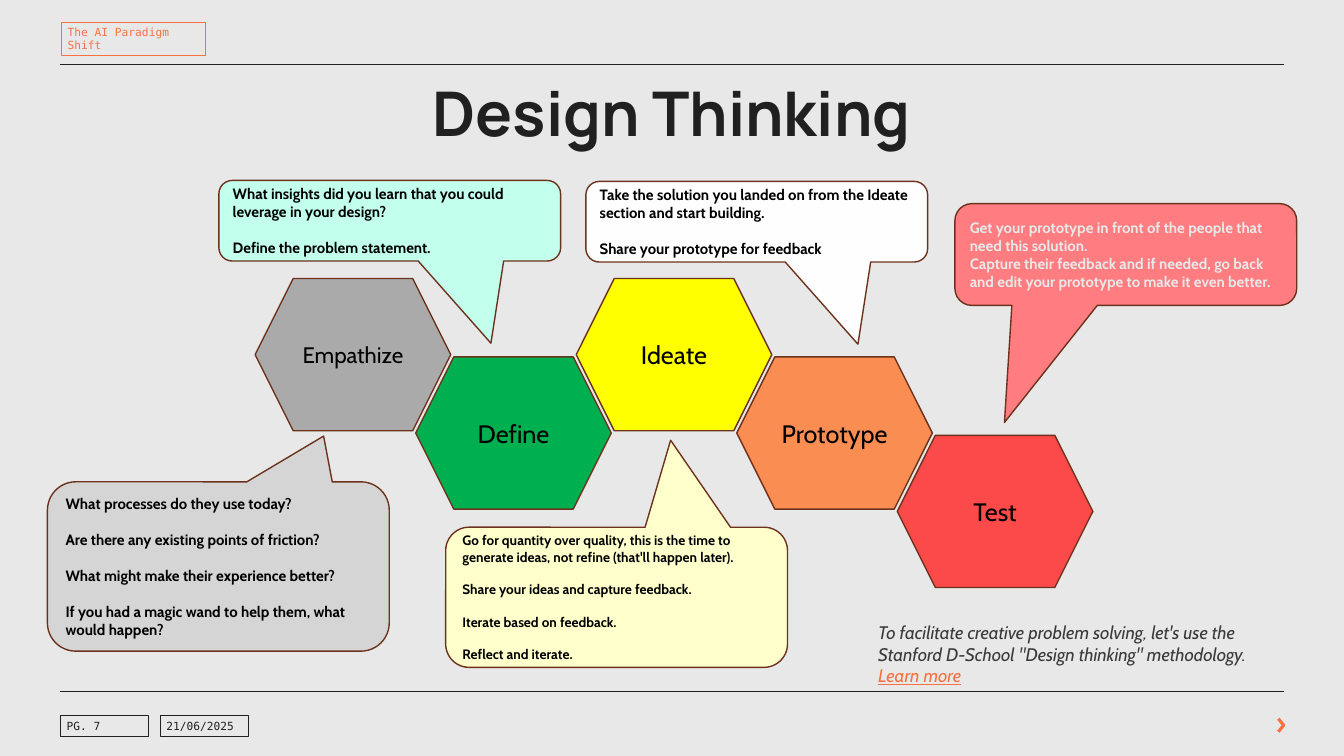
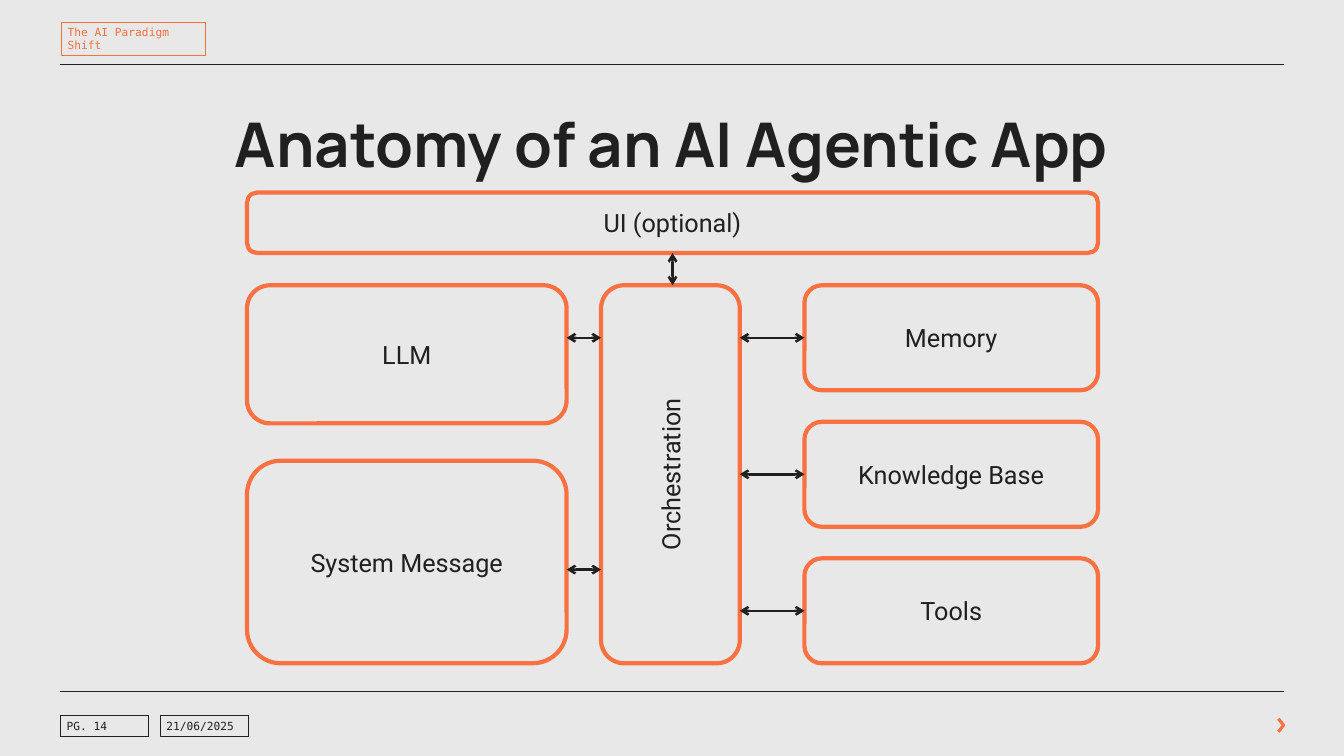
from lxml.etree import SubElement as Sub
from pptx import Presentation
from pptx.dml.color import RGBColor as Rgb
from pptx.enum.shapes import MSO_CONNECTOR as Conn, MSO_SHAPE as Kind
from pptx.enum.text import MSO_ANCHOR as Anchor, PP_ALIGN as Align
from pptx.oxml.ns import qn
from pptx.util import Inches, Pt

HUES = {
    "back": "E8E8E8", "ink": "202020", "accent": "F97141", "note": "3A3A3A",
    "black": "000000", "edge": "6D321C", "gray": "AAAAAA", "green": "00B050",
    "yellow": "FFFF00", "orange": "FA8D52", "red": "FC4949", "silver": "D5D5D5",
    "mint": "C2FFED", "cream": "FFFFCC", "white": "FEFEFE", "rose": "FF7C80",
}
PAGE = (0, 0, Inches(13.33), Inches(7.5))
DATE = "21/06/2025"
DECK = "The AI Paradigm Shift"

STEPS = [
    ("Empathize", 16, "gray", 0), ("Define", 18, "green", 1),
    ("Ideate", 18, "yellow", 0), ("Prototype", 18, "orange", 1),
    ("Test", 18, "red", 2),
]
HINTS = [
    ((0, 61.9, 34.78), (0.308, -0.77), "silver", "black", 10.7, 12.8, [
        "What processes do they use today?",
        "Are there any existing points of friction?",
        "What might make their experience better?",
        "If you had a magic wand to help them, what would happen?"]),
    ((13.72, 0, 16.56), (0.296, 1.519), "mint", "black", 10.7, 12.8, [
        "What insights did you learn that you could leverage in your design?",
        "Define the problem statement."]),
    ((31.88, 71.22, 28.78), (0.158, -1.121), "cream", "black", 9.7, 11.6, [
        "Go for quantity over quality, this is the time to generate ideas, "
        "not refine (that'll happen later).",
        "Share your ideas and capture feedback.",
        "Iterate based on feedback.",
        "Reflect and iterate."]),
    ((43.1, 0.2, 16.56), (0.296, 1.519), "white", "black", 10.7, 12.8, [
        "Take the solution you landed on from the Ideate section and start "
        "building.",
        "Share your prototype for feedback"]),
    ((72.64, 4.76, 20.91), (-0.355, 1.65), "rose", "back", 10.7, 0, [
        "Get your prototype in front of the people that need this solution.",
        "Capture their feedback and if needed, go back and edit your "
        "prototype to make it even better."]),
]


def hue(name):
    """Return the named colour."""
    return Rgb.from_string(HUES[name])


def part(box, left, top, wide=0, high=0):
    """Return a box inside another, given in percent of it."""
    x, y, w, h = box
    return (round(x + w * left / 100), round(y + h * top / 100),
            round(w * wide / 100), round(h * high / 100))


def write(shape, lines, font, size, color, bold=False, align=Align.LEFT,
          anchor=Anchor.MIDDLE, pads=None, gap=0):
    """Fill a shape with styled paragraphs."""
    frame = shape.text_frame
    frame.word_wrap = True
    frame.vertical_anchor = anchor
    if pads:
        (frame.margin_left, frame.margin_top,
         frame.margin_right, frame.margin_bottom) = map(Inches, pads)
    frame.text = "\n".join(lines)
    for i, para in enumerate(frame.paragraphs):
        para.alignment = align
        if i and gap:
            para.space_before = Pt(gap)
        for run in para.runs:
            run.font.name, run.font.size, run.font.bold = font, Pt(size), bold
            run.font.color.rgb = hue(color)
    return frame


def draw(slide, kind, box, edge, width, fill=None):
    """Add an outlined shape without shadow."""
    shape = slide.shapes.add_shape(kind, *box)
    shape.shadow.inherit = False
    if fill:
        shape.fill.solid()
        shape.fill.fore_color.rgb = hue(fill)
    else:
        shape.fill.background()
    shape.line.color.rgb = hue(edge)
    shape.line.width = Pt(width)
    return shape


def link(slide, start, end, width, heads=False):
    """Add a straight line, with arrowheads at both ends if asked."""
    line = slide.shapes.add_connector(Conn.STRAIGHT, *start[:2], *end[:2])
    line.line.color.rgb = hue("ink")
    line.line.width = Pt(width)
    if heads:
        ln = line.line._get_or_add_ln()
        for tag in ("a:headEnd", "a:tailEnd"):
            Sub(ln, qn(tag)).set("type", "arrow")
    Sub(line._element.spPr, qn("a:effectLst"))
    return line


def frame(slide, box, page):
    """Draw the rules, tags and chevron that every slide carries."""
    for y in (8.53, 91.47):
        link(slide, part(box, 4.5, y), part(box, 95.5, y), 0.5)
    tags = [
        ((4.5, 94.67, 6.53, 2.7), f"PG. {page}", "ink"),
        ((11.93, 94.67, 6.53, 2.7), DATE, "ink"),
        ((4.58, 2.93, 10.73, 4.4), DECK, "accent"),
    ]
    for spot, text, color in tags:
        tag = draw(slide, Kind.RECTANGLE, part(box, *spot), color, 0.5)
        write(tag, [text], "DejaVu Sans Mono", 8, color, pads=(0.06, 0, 0, 0))
    first, *rest = [part(box, x, y)[:2]
                    for x, y in ((95.12, 95.07), (95.5, 95.93), (95.12, 96.8))]
    pen = slide.shapes.build_freeform(*first)
    pen.add_line_segments(rest, close=False)
    mark = pen.convert_to_shape()
    mark.shadow.inherit = False
    mark.fill.background()
    mark.line.color.rgb = hue("accent")
    mark.line.width = Pt(2.25)


def title(slide, box, text):
    """Write the slide title at the foot of its box."""
    area = slide.shapes.add_textbox(*box)
    text = write(area, [text], "Manrope", 44, "ink", True, Align.CENTER,
                 Anchor.BOTTOM, (0, 0, 0, 0))
    text.paragraphs[0].line_spacing = 0.9


def note(slide, box):
    """Write the closing remark with its call to read on."""
    lines = ["To facilitate creative problem solving, let's use the Stanford "
             "D-School \"Design thinking\" methodology.", "Learn more"]
    text = write(slide.shapes.add_textbox(*box), lines, "Cabin", 13, "note",
                 anchor=Anchor.TOP, pads=(0.13, 0.07, 0.13, 0.07))
    for para in text.paragraphs:
        para.runs[0].font.italic = True
    more = text.paragraphs[1].runs[0].font
    more.underline = True
    more.color.rgb = hue("accent")


def steps(slide, box):
    """Draw the chain of hexagons and the callouts around it."""
    for i, (name, size, fill, level) in enumerate(STEPS):
        spot = part(box, 16.63 + 12.85 * i, 20.15 + 16.1 * level, 15.66, 31.26)
        cell = draw(slide, Kind.HEXAGON, spot, "edge", 1, fill)
        write(cell, [name], "Cabin", size, "black", align=Align.CENTER)
    for (x, y, high), tip, fill, color, size, gap, lines in HINTS:
        hint = draw(slide, Kind.ROUNDED_RECTANGULAR_CALLOUT,
                    part(box, x, y, 27.36, high), "edge", 1, fill)
        for i, value in enumerate((*tip, 0.167)):
            hint.adjustments[i] = value
        write(hint, lines, "Cabin", size, color, True, gap=gap)


def stack(slide, box):
    """Draw the blocks of the app and the arrows between them."""
    top, mid, right = 19.7, 41.6, 65.5
    spots = {
        "UI (optional)": (0, 0, 100, 12.85),
        "LLM": (0, top, 37.56, 29.34),
        "System Message": (0, 56.96, 37.56, 43.04),
        "Orchestration": (mid, top, 16.3, 100 - top),
    }
    ends = ("Memory", "Knowledge Base", "Tools")
    for i, name in enumerate(ends):
        spots[name] = (right, top + 29 * i, 100 - right, 22.3)
    cells = {}
    for name, spot in spots.items():
        cell = draw(slide, Kind.ROUNDED_RECTANGLE, part(box, *spot), "accent", 3)
        write(cell, [name], "Roboto", 18, "ink", align=Align.CENTER)
        cells[name] = cell
    core = cells["Orchestration"]
    core.text_frame._txBody.bodyPr.set("vert", "vert270")

    for y in (30.85, 80.1):
        link(slide, part(box, 37.56, y), part(box, mid, y), 1.75, True)
    for i, name in enumerate(ends):
        y = top + 29 * i + 11.15
        line = link(slide, part(box, mid + 16.3, y), part(box, right, y),
                    1.75, True)
        line.end_connect(cells[name], 1)
        if name == "Knowledge Base":
            line.begin_connect(core, 3)
    line = link(slide, part(box, 50, 12.85), part(box, 50, top), 1.75, True)
    line.begin_connect(cells["UI (optional)"], 2)


def main():
    """Build and save the deck."""
    deck = Presentation()
    deck.slide_width, deck.slide_height = PAGE[2:]
    back = deck.slide_master.background.fill
    back.solid()
    back.fore_color.rgb = hue("back")

    def start(page, text, top):
        """Add a slide with its frame and title."""
        slide = deck.slides.add_slide(deck.slide_layouts[6])
        frame(slide, PAGE, page)
        title(slide, part(PAGE, 4.6, top, 90.8, 11.6), text)
        return slide

    slide = start(7, "Design Thinking", 8.27)
    note(slide, part(PAGE, 64.37, 81.2, 32.1, 11.87))
    steps(slide, part(PAGE, 3.53, 23.87, 92.95, 64.4))

    slide = start(14, "Anatomy of an AI Agentic App", 12.27)
    stack(slide, part(PAGE, 18.38, 25.47, 63.32, 62.27))
    deck.save("out.pptx")


if __name__ == "__main__":
    main()
